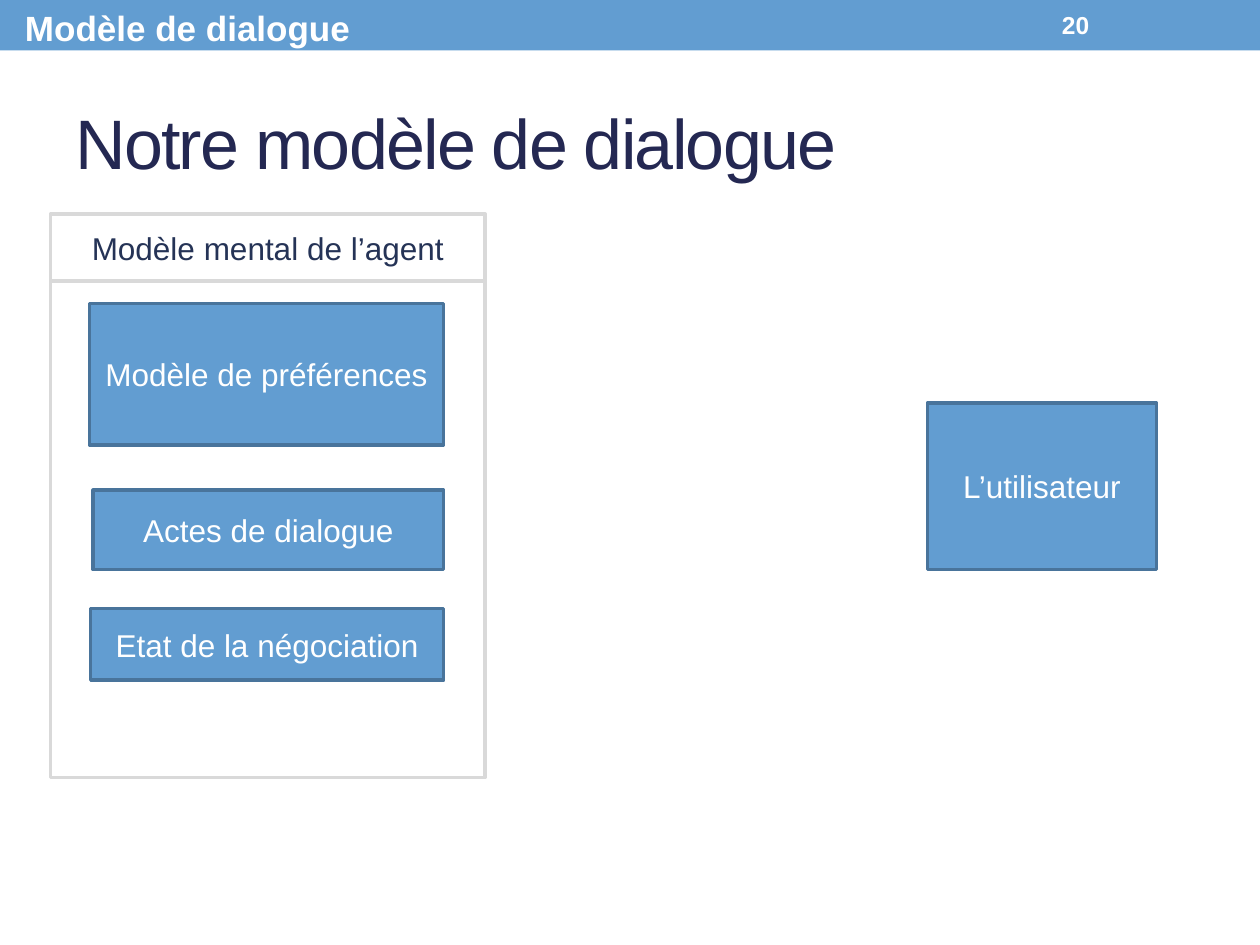
import pptx
import pptx.dml.color
import pptx.enum.shapes
import pptx.enum.text
import pptx.util

COLORS = {"blue": "629DD1", "edge": "49749B", "frame": "D9D9D9",
          "navy": "242852", "ink": "253356", "white": "FFFFFF"}
ALIGN = pptx.enum.text.PP_ALIGN
ANCHOR = pptx.enum.text.MSO_ANCHOR

prs = pptx.Presentation()
prs.slide_width = pptx.util.Inches(10)
prs.slide_height = pptx.util.Inches(7.5)
COL, ROW = prs.slide_width / 100, prs.slide_height / 75
s = prs.slides.add_slide(prs.slide_layouts[6])


def rgb(name):
    return pptx.dml.color.RGBColor.from_string(COLORS[name])


def write(sp, text, color, size, bold=False, align=ALIGN.LEFT,
          anchor=ANCHOR.MIDDLE, wrap=True):
    """Put one formatted run into a shape and return it."""
    tf = sp.text_frame
    tf.word_wrap, tf.vertical_anchor = wrap, anchor
    p = tf.paragraphs[0]
    p.alignment = align
    r = p.add_run()
    r.text = text
    font = {"name": "Arial", "size": pptx.util.Pt(size), "bold": bold}
    for key, value in font.items():
        setattr(r.font, key, value)
    r.font.color.rgb = rgb(color)
    return r


# Boxes: left, top, width, height in columns and rows; fill, line, text, ink
boxes = [
    (0, 0, 100, 4, "blue", None, None, None),
    (7.1, 24.1, 28.1, 11.2, "blue", "edge", "Modèle de préférences", "white"),
    (7.4, 38.9, 27.8, 6.3, "blue", "edge", "Actes de dialogue", "white"),
    (7.2, 48.3, 28, 5.7, "blue", "edge", "Etat de la négociation", "white"),
    (4, 22.3, 34.5, 39.4, None, "frame", None, None),
    (4, 17, 34.5, 5.3, None, "frame", "Modèle mental de l’agent", "ink"),
    (73.6, 32, 18.2, 13.2, "blue", "edge", "L’utilisateur", "white"),
]
for x, y, w, h, fill, line, text, ink in boxes:
    sp = s.shapes.add_shape(pptx.enum.shapes.MSO_SHAPE.RECTANGLE,
                            int(x * COL), int(y * ROW), int(w * COL), int(h * ROW))
    sp.shadow.inherit = False
    if fill:
        sp.fill.solid()
        sp.fill.fore_color.rgb = rgb(fill)
    else:
        sp.fill.background()
    if line:
        sp.line.color.rgb = rgb(line)
        sp.line.width = pptx.util.Pt(2.08)
    else:
        sp.line.fill.background()
    if text:
        write(sp, text, ink, 18, align=ALIGN.CENTER)

# Text boxes: left, top, width, height in columns and rows; text and format
labels = [
    (5, 5.8, 90, 10.8, "Notre modèle de dialogue", {"color": "navy", "size": 40}),
    (83.3, 0.2, 11.7, 3.6, "20", {"color": "white", "size": 14, "bold": True}),
    (1, 0, 28, 4.4, "Modèle de dialogue",
     {"color": "white", "size": 20, "bold": True, "anchor": ANCHOR.TOP, "wrap": False}),
]
for x, y, w, h, text, style in labels:
    sp = s.shapes.add_textbox(int(x * COL), int(y * ROW), int(w * COL), int(h * ROW))
    r = write(sp, text, **style)
    if style["size"] == 40:
        r.font._element.set("spc", "-100")  # tighten the title by one point

prs.save("out.pptx")
